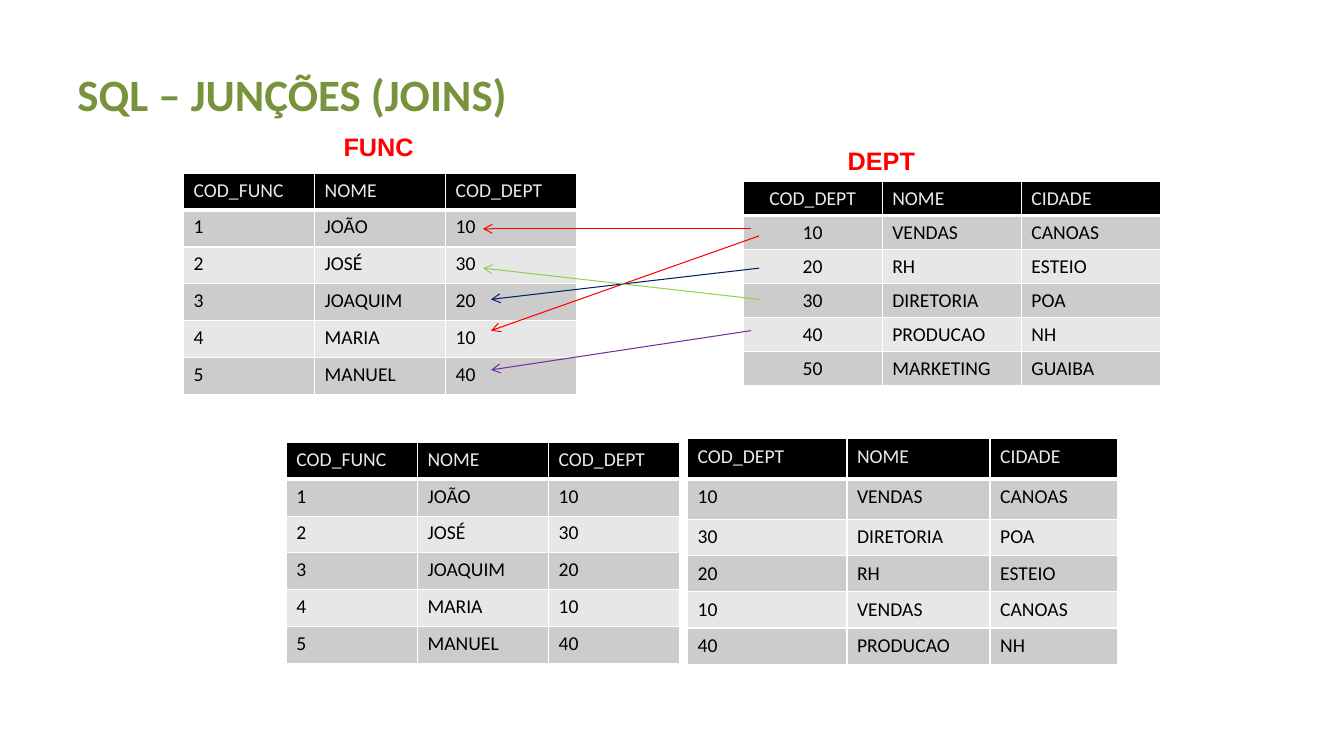
import pptx
import pptx.dml.color
import pptx.enum.shapes
import pptx.enum.text
import pptx.oxml
import pptx.oxml.ns
import pptx.util
from pptx.util import Inches

COLORS = {
    "title": "77933C", "label": "FF0000", "header": "000000", "header_text": "EAEAEA",
    "text": "000000", "odd": "CCCCCC", "even": "E7E7E7", "border": "FFFFFF",
    "red": "FF0000", "navy": "002060", "green": "92D050", "purple": "7030A0",
}
FUNC = [
    ["COD_FUNC", "NOME", "COD_DEPT"],
    ["1", "JOÃO", "10"],
    ["2", "JOSÉ", "30"],
    ["3", "JOAQUIM", "20"],
    ["4", "MARIA", "10"],
    ["5", "MANUEL", "40"],
]
DEPT = [
    ["COD_DEPT", "NOME", "CIDADE"],
    ["10", "VENDAS", "CANOAS"],
    ["20", "RH", "ESTEIO"],
    ["30", "DIRETORIA", "POA"],
    ["40", "PRODUCAO", "NH"],
    ["50", "MARKETING", "GUAIBA"],
]
LINKS = [
    ((7.45, 2.27), (4.79, 2.27), "red"),
    ((7.53, 2.34), (4.87, 3.28), "red"),
    ((7.53, 2.66), (4.87, 2.97), "navy"),
    ((7.53, 2.97), (4.79, 2.66), "green"),
    ((7.45, 3.28), (4.87, 3.67), "purple"),
]


def rgb(name):
    return pptx.dml.color.RGBColor.from_string(COLORS[name])


def write(paragraph, text, color, **font_format):
    run = paragraph.add_run()
    run.text = text
    run.font.color.rgb = rgb(color)
    for attribute, value in font_format.items():
        setattr(run.font, attribute, value)


def add_heading(slide, text, box, color, font, size, anchor, wrap):
    heading = slide.shapes.add_textbox(*map(Inches, box))
    frame_format = {"word_wrap": wrap, "vertical_anchor": anchor}
    for attribute, value in frame_format.items():
        setattr(heading.text_frame, attribute, value)
    write(heading.text_frame.paragraphs[0], text, color,
          name=font, size=pptx.util.Pt(size), bold=True)


def add_borders(cell, is_header):
    properties = cell._tc.get_or_add_tcPr()
    widths = {"lnL": 1, "lnR": 1, "lnT": 1, "lnB": 3 if is_header else 1}
    for position, (side, width) in enumerate(widths.items()):
        border = pptx.oxml.parse_xml(
            f'<a:{side} {pptx.oxml.ns.nsdecls("a")} w="{pptx.util.Pt(width)}">'
            f'<a:solidFill><a:srgbClr val="{COLORS["border"]}"/></a:solidFill></a:{side}>')
        properties.insert(position, border)


def add_relation(slide, records, left, top, widths, heights, margin=0.05, centered=False):
    frame = slide.shapes.add_table(
        len(records), len(widths), Inches(left), Inches(top),
        Inches(sum(widths)), Inches(sum(heights)))
    relation = frame.table
    for column, width in zip(relation.columns, widths):
        column.width = Inches(width)
    for row, height in zip(relation.rows, heights):
        row.height = Inches(height)
    for row_index, record in enumerate(records):
        is_header = row_index == 0
        fill = "header" if is_header else "odd" if row_index % 2 else "even"
        for column_index, value in enumerate(record):
            cell = relation.cell(row_index, column_index)
            cell.margin_top = cell.margin_bottom = Inches(margin)
            cell.fill.solid()
            cell.fill.fore_color.rgb = rgb(fill)
            add_borders(cell, is_header)
            paragraph = cell.text_frame.paragraphs[0]
            if centered and column_index == 0:
                paragraph.alignment = pptx.enum.text.PP_ALIGN.CENTER
            write(paragraph, value, "header_text" if is_header else "text",
                  name="Calibri", size=pptx.util.Pt(14), bold=False)


def add_link(slide, start, end, color):
    link = slide.shapes.add_connector(
        pptx.enum.shapes.MSO_CONNECTOR.STRAIGHT, *map(Inches, start + end))
    link.line.color.rgb = rgb(color)
    link.line.width = pptx.util.Pt(0.75)
    namespace = pptx.oxml.ns.nsdecls("a")
    link.line._get_or_add_ln().append(
        pptx.oxml.parse_xml(f'<a:tailEnd {namespace} type="arrow"/>'))
    link._element.spPr.append(pptx.oxml.parse_xml(f'<a:effectLst {namespace}/>'))


def main():
    presentation = pptx.Presentation()
    presentation.slide_width = Inches(13.33)
    presentation.slide_height = Inches(7.5)
    slide = presentation.slides.add_slide(presentation.slide_layouts[6])
    anchors = pptx.enum.text.MSO_ANCHOR

    add_heading(slide, "SQL – JUNÇÕES (JOINS)", (0.67, 0.3, 12, 1.25),
                "title", "Calibri", 32, anchors.MIDDLE, True)

    func_widths = [1.3] * 3
    func_heights = [2.19 / len(FUNC)] * len(FUNC)
    dept_heights = [2.03 / len(DEPT)] * len(DEPT)
    add_relation(slide, FUNC, 1.82, 1.72, func_widths, func_heights)
    add_relation(slide, DEPT, 7.37, 1.8, [1.38] * 3, dept_heights, centered=True)
    for start, end, color in LINKS:
        add_link(slide, start, end, color)
    for label, left, top in [("FUNC", 3.31, 1.25), ("DEPT", 8.31, 1.39)]:
        add_heading(slide, label, (left, top, 0.94, 0.4),
                    "label", "Arial", 18, anchors.TOP, False)

    dept_by_code = {record[0]: record for record in DEPT}
    joined_dept = [dept_by_code[record[-1]] for record in FUNC]
    add_relation(slide, FUNC, 2.84, 4.39, func_widths, func_heights)
    add_relation(slide, joined_dept, 6.82, 4.35, [1.58, 1.42, 1.26],
                 [0.4] * 2 + [0.36] * 4, margin=0.06)

    presentation.save("out.pptx")


if __name__ == "__main__":
    main()
